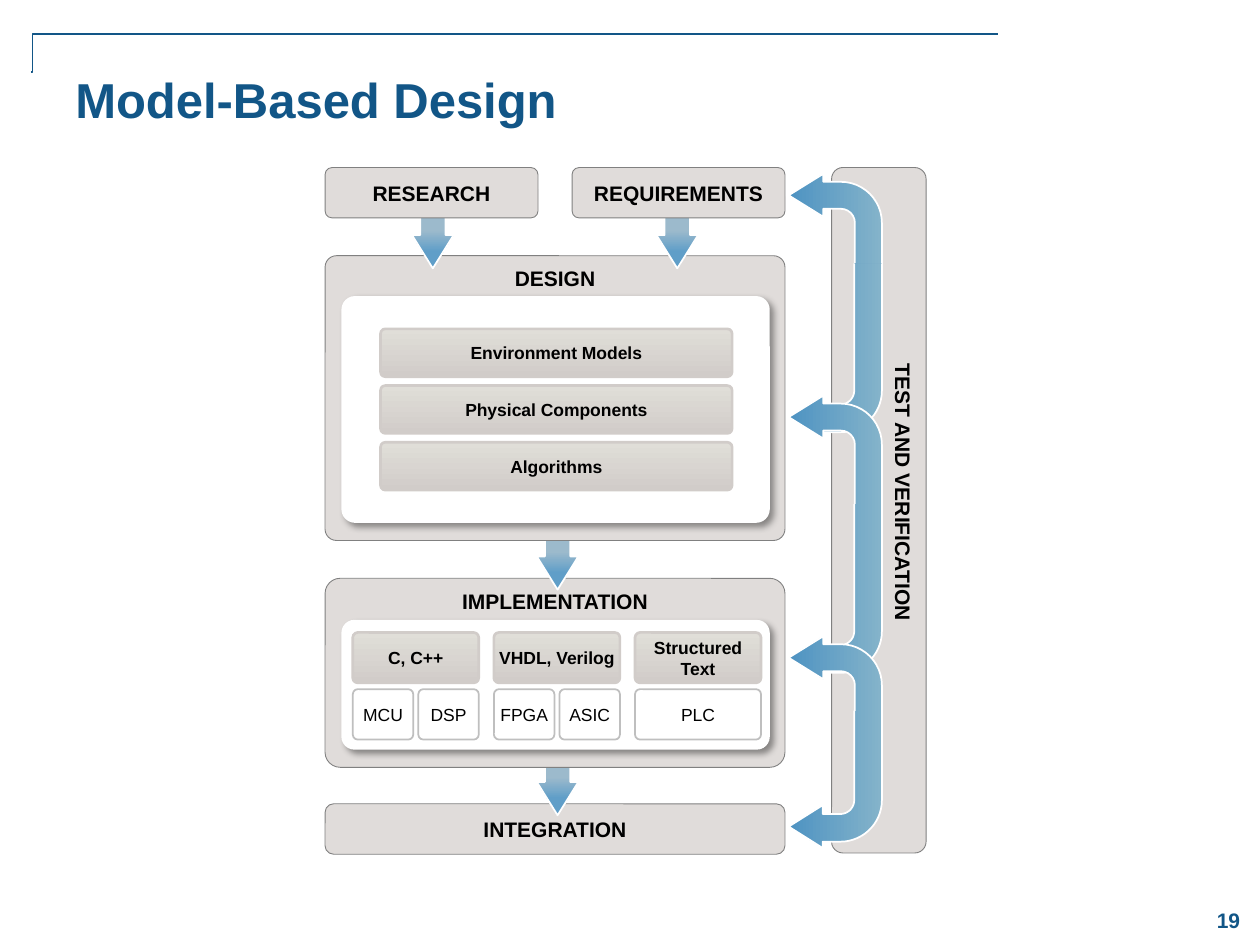
import math
import pptx
import pptx.util
import pptx.dml.color
import pptx.enum.shapes
import pptx.enum.text
import pptx.oxml
import pptx.oxml.ns

Inches, Pt = pptx.util.Inches, pptx.util.Pt
RGB = pptx.dml.color.RGBColor
KIND = pptx.enum.shapes.MSO_SHAPE
ALIGN = pptx.enum.text.PP_ALIGN
ANCHOR = pptx.enum.text.MSO_ANCHOR
qn = pptx.oxml.ns.qn

NAVY = RGB(0x12, 0x56, 0x87)
BLACK = RGB(0, 0, 0)
WHITE = RGB(255, 255, 255)
PANEL = RGB(0xE0, 0xDC, 0xDA)
GRAY = RGB(0x80, 0x80, 0x80)
SILVER = RGB(0xBF, 0xBF, 0xBF)
STONE = RGB(0xD1, 0xCC, 0xC9)
SAND = RGB(0xE0, 0xDE, 0xD8)
MIST = RGB(0x9C, 0xBA, 0xCC)
SKY = RGB(0x60, 0x9E, 0xC8)
BLUE = RGB(0x4E, 0x93, 0xC2)
PALE = RGB(0x84, 0xB3, 0xCA)

SHADOW = (
    '<a:outerShdw %s blurRad="50800" dist="38100" dir="2700000">'
    '<a:srgbClr val="000000"><a:alpha val="40000"/></a:srgbClr></a:outerShdw>'
    % pptx.oxml.ns.nsdecls("a")
)


class Board:
    font = "Arial"

    def __init__(self, slide):
        self.slide = slide
        self.shapes = slide.shapes

    def letter(self, shape, text, size, color=BLACK, bold=True, align=ALIGN.CENTER,
               anchor=ANCHOR.TOP, inset=None, wrap=True):
        """Put styled text into a shape."""
        frame = shape.text_frame
        frame.text = text
        frame.word_wrap = wrap
        frame.vertical_anchor = anchor
        if inset is not None:
            frame.margin_left = frame.margin_right = Inches(inset)
            frame.margin_top = frame.margin_bottom = Inches(inset)
        line = frame.paragraphs[0]
        line.alignment = align
        for run in line.runs:
            run.font.name, run.font.size = self.font, Pt(size)
            run.font.bold, run.font.color.rgb = bold, color

    def label(self, box, text, size, color=BLACK, turn=0, **style):
        shape = self.shapes.add_textbox(*map(Inches, box))
        shape.rotation = turn
        self.letter(shape, text, size, color, **style)

    def paint(self, shape, fill, line, width):
        """Fill is a colour, or a list of (position, colour) stops."""
        shape.shadow.inherit = False
        if isinstance(fill, RGB):
            shape.fill.solid()
            shape.fill.fore_color.rgb = fill
        else:
            shape.fill.gradient()
            for stop, (place, color) in zip(shape.fill.gradient_stops, fill):
                stop.position, stop.color.rgb = place, color
        if line is None:
            shape.line.fill.background()
        else:
            shape.line.color.rgb = line
            shape.line.width = Pt(width)

    def preset(self, kind, box, adjust, fill, line=None, width=1):
        shape = self.shapes.add_shape(kind, *map(Inches, box))
        for i, value in enumerate(adjust):
            shape.adjustments[i] = value
        self.paint(shape, fill, line, width)
        return shape

    def panel(self, box, round_by, text="", anchor=ANCHOR.MIDDLE):
        shape = self.preset(KIND.ROUNDED_RECTANGLE, box, [round_by], PANEL, GRAY, 0.5)
        if text:
            self.letter(shape, text, 12, anchor=anchor)

    def card(self, box, round_by):
        """White inner panel with a soft drop shadow."""
        shape = self.preset(KIND.ROUNDED_RECTANGLE, box, [round_by], WHITE)
        effects = shape._element.spPr.find(qn("a:effectLst"))
        effects.append(pptx.oxml.parse_xml(SHADOW))

    def block(self, box, text):
        shape = self.preset(KIND.ROUNDED_RECTANGLE, box, [0.1],
                            [(0, STONE), (1, SAND)], STONE, 1.5)
        shape.fill.gradient_angle = 90
        self.letter(shape, text, 10, anchor=ANCHOR.MIDDLE, inset=0.01)

    def chip(self, box, text):
        shape = self.preset(KIND.ROUNDED_RECTANGLE, box, [0.1], WHITE, SILVER)
        self.letter(shape, text, 10, bold=False, anchor=ANCHOR.MIDDLE, inset=0)

    def down(self, left, top):
        shape = self.preset(KIND.LEFT_RIGHT_ARROW, (left, top, 0.75, 0.33),
                            [0.61, 0.8], [(0.6, MIST), (0.82, SKY)], WHITE)
        shape.fill.gradient_angle = 0
        shape.rotation = 90

    def upper(self, top, height):
        """Arrow that rises and bends left."""
        shape = self.preset(KIND.BENT_ARROW, (6.26, top, 0.74, height),
                            [0.29, 0.23, 0.37, 0.44], [(0, BLUE), (1, PALE)], WHITE)
        shape.fill.gradient_angle = 180
        shape._element.spPr.find(qn("a:xfrm")).set("flipH", "1")

    def lower(self, top, height):
        """Arrow that falls and bends left, open at its upper end."""
        end = top + height
        x, y = 6.67, end - 0.38

        def arc(radius):
            turns = [math.radians(a) for a in range(0, 91, 6)]
            return [(x + radius * math.cos(t), y + radius * math.sin(t)) for t in turns]

        head = [(6.53, end - 0.05), (6.53, end), (6.26, end - 0.17),
                (6.53, end - 0.34), (6.53, end - 0.27)]
        dots = arc(0.33) + head + arc(0.11)[::-1] + [(6.78, top)]
        pen = self.shapes.build_freeform(Inches(7), Inches(top))
        pen.add_line_segments([(Inches(a), Inches(b)) for a, b in dots], close=False)
        shape = pen.convert_to_shape()
        self.paint(shape, [(0, BLUE), (1, PALE)], WHITE, 1)
        shape.fill.gradient_angle = 0

    def frame(self):
        """Thin corner rule above the title."""
        kind = pptx.enum.shapes.MSO_CONNECTOR.ELBOW
        rule = self.shapes.add_connector(kind, *map(Inches, (7.92, 0.27, 0.25, 0.57)))
        rule.line.color.rgb, rule.line.width = NAVY, Pt(1)
        props = rule._element.spPr
        guide = pptx.oxml.parse_xml('<a:gd %s name="adj1" fmla="val 99900"/>'
                                    % pptx.oxml.ns.nsdecls("a"))
        props.find(qn("a:prstGeom")).get_or_add_avLst().append(guide)
        props.append(props.makeelement(qn("a:effectLst"), {}))


def main():
    deck = pptx.Presentation()
    deck.slide_width, deck.slide_height = Inches(10), Inches(7.5)
    board = Board(deck.slides.add_slide(deck.slide_layouts[6]))

    board.frame()
    board.label((9.5, 7.09, 0.5, 0.42), "19", 12, NAVY, anchor=ANCHOR.MIDDLE)
    board.label((0.5, 0.5, 8.83, 1.08), "Model-Based Design", 28, NAVY, align=ALIGN.LEFT)

    board.panel((2.58, 6.38, 3.65, 0.4), 0.17, "INTEGRATION")
    board.down(4.05, 5.93)
    board.panel((2.58, 4.59, 3.65, 1.5), 0.08, "IMPLEMENTATION", ANCHOR.TOP)
    board.down(4.05, 4.14)
    board.card((2.71, 4.92, 3.4, 1.03), 0.1)
    board.panel((6.6, 1.33, 0.75, 5.44), 0.12)
    board.panel((2.58, 2.03, 3.65, 2.26), 0.04, "DESIGN", ANCHOR.TOP)
    board.card((2.71, 2.35, 3.4, 1.8), 0.06)
    for left in (5, 3.06):
        board.down(left, 1.59)
    board.label((6.04, 3.77, 2.26, 0.3), "TEST AND VERIFICATION", 12, turn=90,
                align=ALIGN.LEFT, wrap=False)
    for left, text in ((2.58, "RESEARCH"), (4.54, "REQUIREMENTS")):
        board.panel((left, 1.33, 1.69, 0.4), 0.14, text)

    for i, text in enumerate(("Environment Models", "Physical Components", "Algorithms")):
        board.block((3.02, 2.61 + 0.45 * i, 2.79, 0.38), text)

    codes = (("C, C++", ("MCU", "DSP")),
             ("VHDL, Verilog", ("FPGA", "ASIC")),
             ("Structured Text", ("PLC",)))
    for i, (code, chips) in enumerate(codes):
        left = 2.8 + 1.12 * i
        board.block((left, 5.02, 1, 0.4), code)
        width = 0.48 if len(chips) == 2 else 1
        for j, chip in enumerate(chips):
            board.chip((left + 0.52 * j, 5.47, width, 0.4), chip)

    for rise, fall, height in ((1.38, 2.09, 1.39), (3.14, 4, 1.39), (5.05, 5.64, 1.09)):
        board.upper(rise, height)
        board.lower(fall, height)

    deck.save("out.pptx")


if __name__ == "__main__":
    main()
